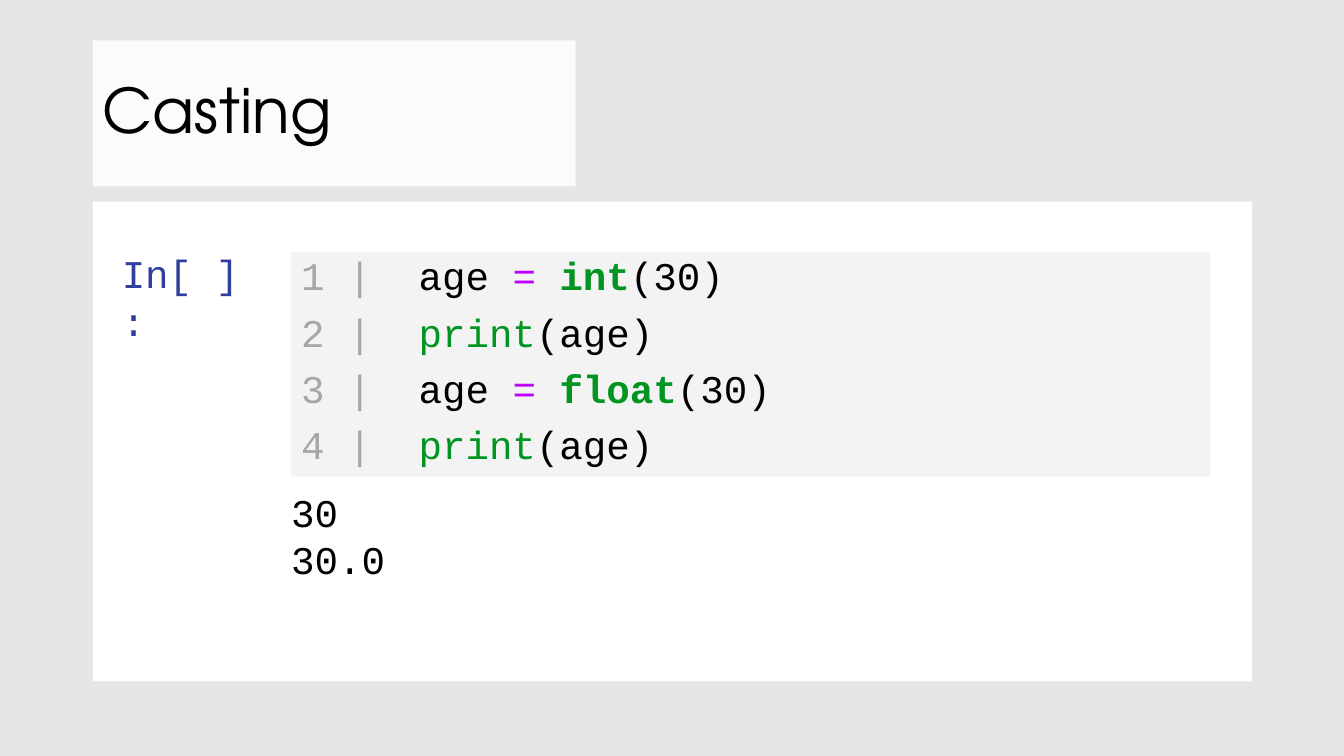
from lxml import etree
from pptx import Presentation
from pptx.dml.color import RGBColor
from pptx.enum.shapes import MSO_SHAPE as SHAPE
from pptx.enum.text import MSO_ANCHOR as ANCHOR, PP_ALIGN as ALIGN
from pptx.oxml.ns import qn
from pptx.util import Cm, Pt

CODE_FONT, TITLE_FONT = "Courier New", "TeX Gyre Adventor"
BLACK, WHITE, GREY = "000000", "FFFFFF", "A6A6A6"
GREEN, PURPLE, BLUE = "009421", "BE00FE", "303F9F"
LEFT = 2.34  # shared left edge of title and panel, in cm


def set_color(fmt, color):
    """Colour a fill or a font."""
    if hasattr(fmt, "solid"):
        fmt.solid()
        fmt.fore_color.rgb = RGBColor.from_string(color)
    else:
        fmt.color.rgb = RGBColor.from_string(color)


def add_panel(s, box, color, opacity=100):
    """Add a borderless rectangle, optionally translucent."""
    sp = s.shapes.add_shape(SHAPE.RECTANGLE, *map(Cm, box))
    sp.shadow.inherit = False
    sp.line.fill.background()
    set_color(sp.fill, color)
    if opacity < 100:
        clr = sp.fill._xPr.find(".//" + qn("a:srgbClr"))
        etree.SubElement(clr, qn("a:alpha")).set("val", str(opacity * 1000))
    return sp


def add_text_box(s, box):
    return s.shapes.add_textbox(*map(Cm, box))


def write_lines(sp, lines, font=CODE_FONT, size=28, spacing=1.0, before=0,
                anchor=ANCHOR.TOP):
    """Write lines of (text, colour, bold) runs."""
    tf = sp.text_frame
    tf.word_wrap = True
    tf.vertical_anchor = anchor
    for i, line in enumerate(lines):
        p = tf.paragraphs[0] if i == 0 else tf.add_paragraph()
        p.alignment = ALIGN.LEFT
        p.line_spacing = spacing
        p.space_before = Pt(before if i else 0)
        p.font.name, p.font.size = font, Pt(size)
        for text, color, bold in line:
            r = p.add_run()
            r.text = text
            set_color(r.font, color)
            if bold:
                r.font.bold = True


def plain(text, color=BLACK):
    return [(text, color, False)]


def cast_line(number, cast):
    return [(f"{number} |  ", GREY, False), ("age ", BLACK, False),
            ("= ", PURPLE, False), (cast, GREEN, True), ("(30)", BLACK, False)]


def print_line(number):
    return [(f"{number} |  ", GREY, False), ("print", GREEN, False),
            ("(age)", BLACK, False)]


def main():
    prs = Presentation()
    prs.slide_width, prs.slide_height = Cm(33.87), Cm(19.05)
    s = prs.slides.add_slide(prs.slide_layouts[6])
    set_color(s.background.fill, "E7E6E6")

    # Title
    title = add_panel(s, (LEFT, 1.02, 12.17, 3.68), WHITE, 87)
    write_lines(title, [plain("Casting")], TITLE_FONT, 44, 0.9,
                anchor=ANCHOR.MIDDLE)

    # Notebook cell
    add_panel(s, (LEFT, 5.08, 29.21, 12.09), WHITE)
    code = add_panel(s, (7.34, 6.35, 23.16, 5.66), "F2F2F2", 87)
    write_lines(code, [cast_line(1, "int"), print_line(2),
                       cast_line(3, "float"), print_line(4)],
                spacing=0.9, before=10)

    # Prompt and output
    prompt = add_text_box(s, (2.82, 6.17, 3.99, 1.45))
    write_lines(prompt, [plain("In[ ]:", BLUE)])
    output = add_text_box(s, (7.09, 12.19, 12.17, 2.64))
    write_lines(output, [plain("30"), plain("30.0")])

    prs.save("out.pptx")


if __name__ == "__main__":
    main()
